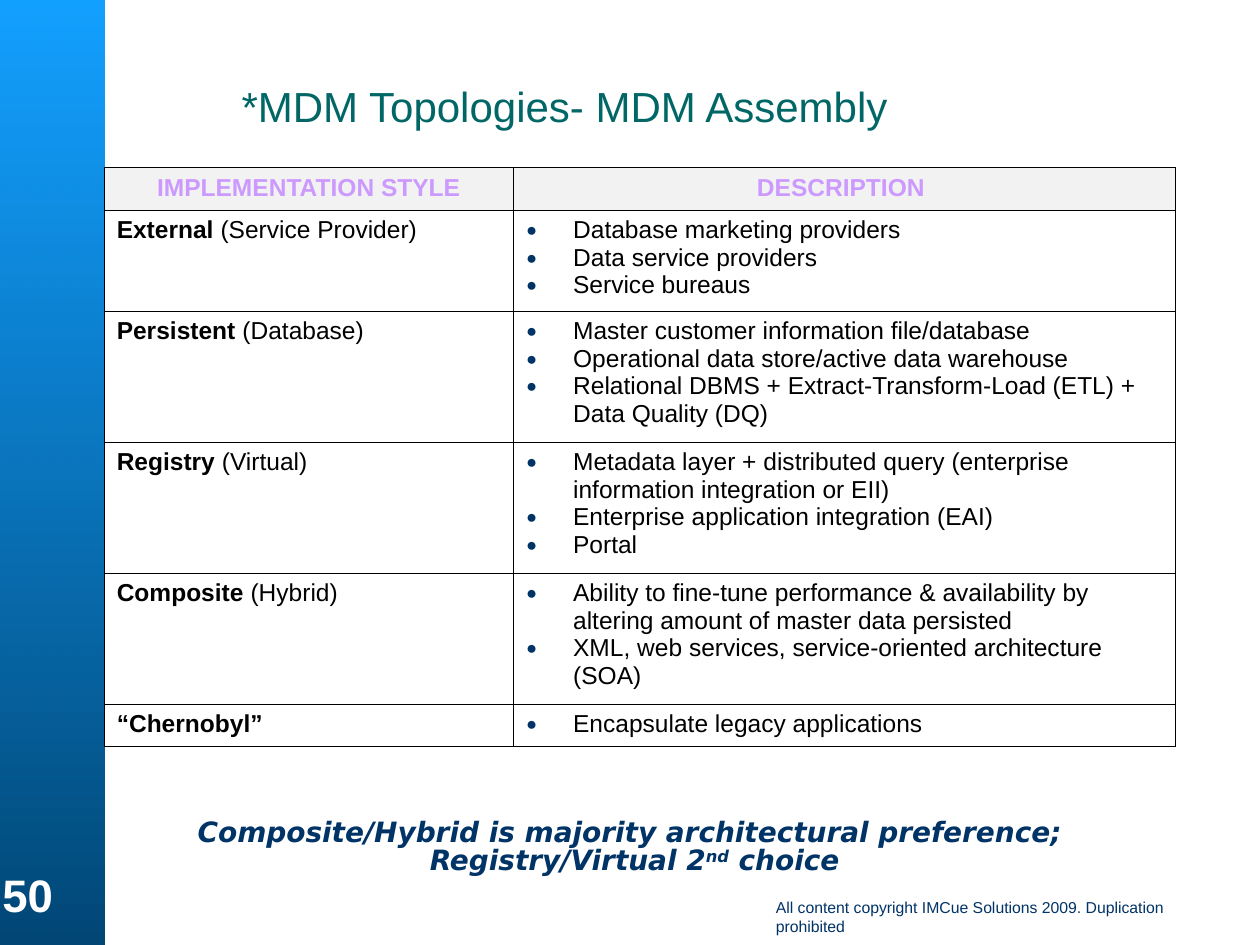
"""Build the MDM topologies slide with its table of implementation styles."""
from dataclasses import dataclass
from typing import Optional

from lxml.etree import SubElement
from pptx import Presentation
from pptx.dml.color import RGBColor
from pptx.enum.shapes import MSO_SHAPE
from pptx.enum.text import MSO_ANCHOR, MSO_AUTO_SIZE, PP_ALIGN
from pptx.oxml.ns import qn
from pptx.util import Cm, Pt

COLORS = {
    "sky": "0099FF", "deep": "004776", "navy": "003366", "teal": "006666",
    "lilac": "CC99FF", "header": "F2F2F2", "black": "000000", "white": "FFFFFF",
}
SIDEBAR_W = 2.1
SLIDE_H = 19.05
HANG = 0.95
COL_WIDTHS = (8.25, 13.34)
HEADERS = ("IMPLEMENTATION STYLE", "DESCRIPTION ")


@dataclass
class Style:
    """Character formatting."""
    size: int
    color: str
    bold: bool = False
    italic: bool = False
    font: str = "Arial"


@dataclass
class Label:
    """A text box with its place in centimetres."""
    text: str
    box: tuple[float, float, float, float]
    style: Style
    anchor: MSO_ANCHOR = MSO_ANCHOR.TOP
    align: Optional[PP_ALIGN] = None
    spacing: Optional[float] = None
    fill: Optional[str] = None
    wrap: bool = True


@dataclass
class Topology:
    """A table row: style name, its qualifier and its description."""
    name: str
    qualifier: str
    points: tuple[str, ...]
    height: float


HEAD = Style(14, "lilac", bold=True)
BODY = Style(14, "black")
STRONG = Style(14, "black", bold=True)
NOTE = Style(16, "navy", bold=True, italic=True, font="DejaVu Sans")

FOOTER = Label("All content copyright IMCue Solutions 2009. Duplication prohibited",
               (15.39, 17.98, 9.8, 0.64), Style(9, "navy"), fill="white", wrap=False)
NUMBER = Label("50", (-0.2, 17.35, 2.72, 1.35), Style(26, "white", bold=True),
               MSO_ANCHOR.BOTTOM)
TITLE = Label("*MDM Topologies- MDM Assembly", (4.62, 0.18, 18.9, 2.59),
              Style(24, "teal"), MSO_ANCHOR.BOTTOM, spacing=0.9)
SUMMARY = Label("Composite/Hybrid is majority architectural preference; \vRegistry/Virtual 2",
                (SIDEBAR_W, 15.77, 21.39, 2.64), NOTE, MSO_ANCHOR.MIDDLE,
                PP_ALIGN.CENTER, 0.85)

TOPOLOGIES = (
    Topology("External", " (Service Provider)",
             ("Database marketing providers", "Data service providers",
              "Service bureaus"), 2.03),
    Topology("Persistent ", "(Database)",
             ("Master customer information file/database",
              "Operational data store/active data warehouse",
              "Relational DBMS + Extract-Transform-Load (ETL) + Data Quality (DQ)"), 2.64),
    Topology("Registry", " (Virtual)",
             ("Metadata layer + distributed query (enterprise information "
              "integration or EII)",
              "Enterprise application integration (EAI)", "Portal"), 2.64),
    Topology("Composite ", "(Hybrid)",
             ("Ability to fine-tune performance & availability by altering "
              "amount of master data persisted",
              "XML, web services, service-oriented architecture (SOA)"), 2.64),
    Topology("“Chernobyl”", "", ("Encapsulate legacy applications",), 0.86),
)


def rgb(name: str) -> RGBColor:
    """Look up a palette colour."""
    return RGBColor.from_string(COLORS[name])


def format_run(r, style: Style) -> None:
    """Apply a style to a run."""
    f = r.font
    f.name, f.size, f.bold, f.italic = style.font, Pt(style.size), style.bold, style.italic
    f.color.rgb = rgb(style.color)


def add_run(p, text: str, style: Style):
    """Append a formatted run."""
    r = p.add_run()
    r.text = text
    format_run(r, style)
    return r


def set_text(p, text: str, style: Style) -> None:
    """Fill a paragraph and format its runs."""
    p.text = text
    for r in p.runs:
        format_run(r, style)


def hang(p, bullet: bool = False) -> None:
    """Give a paragraph a hanging indent and optionally a bullet."""
    pPr = p._p.get_or_add_pPr()
    pPr.set("marL", str(Cm(HANG)))
    pPr.set("indent", str(-Cm(HANG)))
    if bullet:
        clr = SubElement(pPr, qn("a:buClr"))
        SubElement(clr, qn("a:srgbClr"), val=COLORS["navy"])
        SubElement(pPr, qn("a:buSzPct"), val="75000")
        SubElement(pPr, qn("a:buFont"), typeface="Arial")
        SubElement(pPr, qn("a:buChar"), char="●")


def add_sidebar(s) -> None:
    """Draw the gradient band on the left."""
    sp = s.shapes.add_shape(MSO_SHAPE.RECTANGLE, 0, 0, Cm(SIDEBAR_W), Cm(SLIDE_H))
    sp.shadow.inherit = False
    sp.line.fill.background()
    sp.fill.gradient()
    sp.fill.gradient_angle = 270
    for stop, name in zip(sp.fill.gradient_stops, ("sky", "deep")):
        stop.color.rgb = rgb(name)
    clr = next(sp._element.spPr.iter(qn("a:srgbClr")))
    SubElement(clr, qn("a:alpha"), val="93000")


def add_label(s, label: Label):
    """Add a text box and return its paragraph."""
    sp = s.shapes.add_textbox(*map(Cm, label.box))
    if label.fill:
        sp.fill.solid()
        sp.fill.fore_color.rgb = rgb(label.fill)
    tf = sp.text_frame
    tf.word_wrap = label.wrap
    tf.auto_size = MSO_AUTO_SIZE.NONE if label.wrap else MSO_AUTO_SIZE.SHAPE_TO_FIT_TEXT
    tf.vertical_anchor = label.anchor
    p = tf.paragraphs[0]
    set_text(p, label.text, label.style)
    p.alignment = label.align
    p.line_spacing = label.spacing
    return p


def format_cell(cell, fill: Optional[str] = None) -> None:
    """Draw thin borders and set the fill of a cell."""
    tcPr = cell._tc.get_or_add_tcPr()
    for side in ("lnL", "lnR", "lnT", "lnB"):
        ln = SubElement(tcPr, qn(f"a:{side}"), w=str(Pt(0.45)))
        solid = SubElement(ln, qn("a:solidFill"))
        SubElement(solid, qn("a:srgbClr"), val=COLORS["black"])
    if fill:
        cell.fill.solid()
        cell.fill.fore_color.rgb = rgb(fill)
    else:
        cell.fill.background()


def add_topologies(s) -> None:
    """Add the table of implementation styles."""
    heights = [0.86] + [t.height for t in TOPOLOGIES]
    tbl = s.shapes.add_table(len(heights), len(COL_WIDTHS), Cm(SIDEBAR_W), Cm(3.38),
                             Cm(sum(COL_WIDTHS)), Cm(sum(heights))).table
    tbl.horz_banding = False
    for col, width in zip(tbl.columns, COL_WIDTHS):
        col.width = Cm(width)
    for row, height in zip(tbl.rows, heights):
        row.height = Cm(height)
    for cell, text in zip(tbl.rows[0].cells, HEADERS):
        format_cell(cell, "header")
        p = cell.text_frame.paragraphs[0]
        hang(p)
        p.alignment = PP_ALIGN.CENTER
        set_text(p, text, HEAD)
    for i, topology in enumerate(TOPOLOGIES, 1):
        name, description = tbl.cell(i, 0), tbl.cell(i, 1)
        format_cell(name)
        format_cell(description)
        p = name.text_frame.paragraphs[0]
        hang(p)
        set_text(p, topology.name, STRONG)
        if topology.qualifier:
            add_run(p, topology.qualifier, BODY)
        tf = description.text_frame
        tf.text = "\n".join(topology.points)
        for p in tf.paragraphs:
            hang(p, bullet=True)
            format_run(p.runs[0], BODY)


def main() -> None:
    """Build and save the slide."""
    prs = Presentation()
    prs.slide_width, prs.slide_height = Cm(25.4), Cm(SLIDE_H)
    s = prs.slides.add_slide(prs.slide_layouts[6])
    add_sidebar(s)
    for label in (FOOTER, NUMBER, TITLE):
        add_label(s, label)
    p = add_label(s, SUMMARY)
    add_run(p, "nd", NOTE).font._element.set("baseline", "30000")
    add_run(p, " choice", NOTE)
    add_topologies(s)
    prs.save("out.pptx")


if __name__ == "__main__":
    main()
